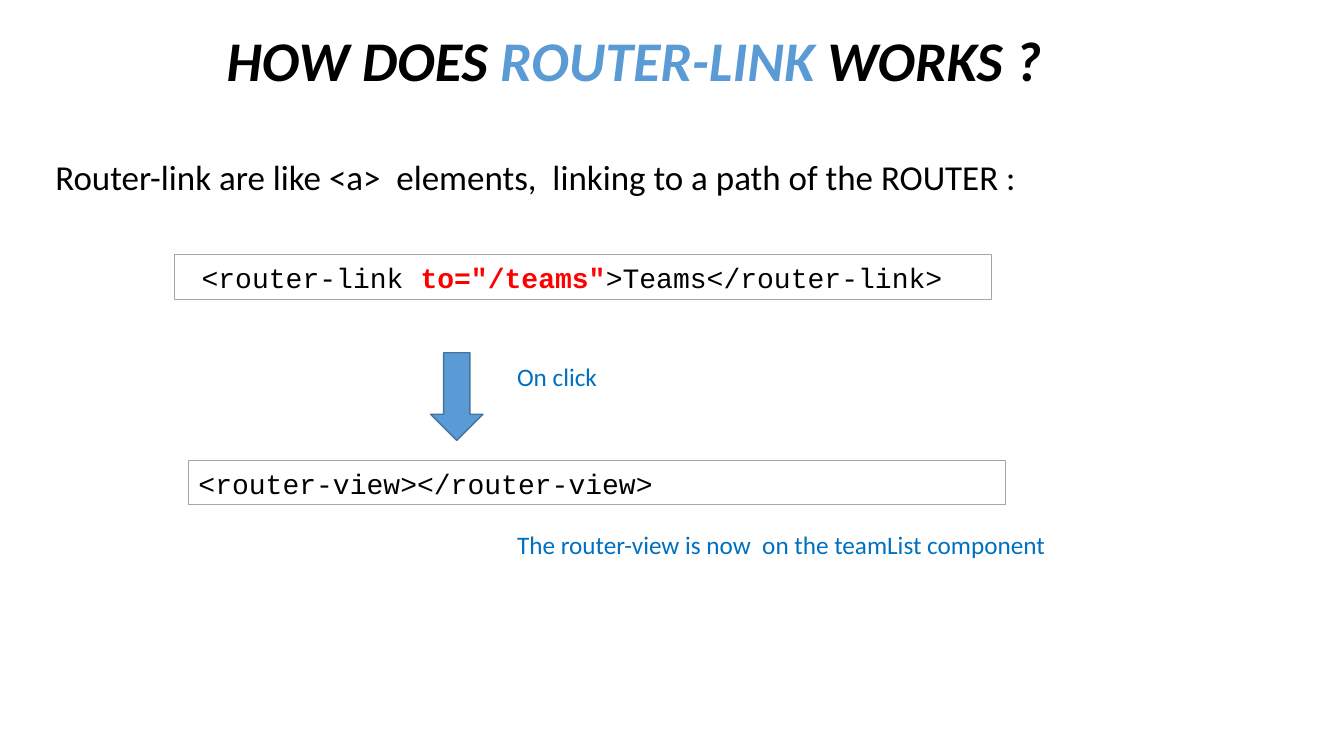
from pptx import Presentation
from pptx.dml.color import RGBColor
from pptx.enum.shapes import MSO_SHAPE as SHAPE
from pptx.enum.text import MSO_ANCHOR as ANCHOR, PP_ALIGN as ALIGN
from pptx.util import Inches, Pt

BLACK = RGBColor(0x00, 0x00, 0x00)
RED = RGBColor(0xFF, 0x00, 0x00)
BLUE = RGBColor(0x5B, 0x9B, 0xD5)
DARK_BLUE = RGBColor(0x43, 0x73, 0x9E)
NOTE_BLUE = RGBColor(0x00, 0x70, 0xC0)
GREY = RGBColor(0xA6, 0xA6, 0xA6)

CODE_W, CODE_H = 8.1, 0.44
NOTE_X, NOTE_H = 5.03, 0.4


def write(tf, runs, size, font="Calibri", color=BLACK):
    """Fill the first paragraph with (text, colour, bold) runs; None keeps the default."""
    p = tf.paragraphs[0]
    p.alignment = ALIGN.LEFT
    p.font.size, p.font.name = Pt(size), font
    p.font.color.rgb = color
    for text, run_color, bold in runs:
        r = p.add_run()
        r.text = text
        if run_color is not None:
            r.font.color.rgb = run_color
        if bold is not None:
            r.font.bold = bold
    return p


def add_text(s, box, runs, size, color=BLACK, wrap=False):
    tf = s.shapes.add_textbox(*map(Inches, box)).text_frame
    tf.word_wrap = wrap
    return write(tf, runs, size, color=color)


def add_title(s, box):
    runs = [("HOW DOES ", None, None), ("ROUTER-LINK", BLUE, None), (" WORKS ?", None, None)]
    p = add_text(s, box, runs, 40, wrap=True)
    p.font.bold = p.font.italic = True


def add_code(s, x, y, runs, indent=0.1):
    sp = s.shapes.add_shape(SHAPE.RECTANGLE, *map(Inches, (x, y, CODE_W, CODE_H)))
    sp.shadow.inherit = False
    sp.fill.background()
    sp.line.color.rgb, sp.line.width = GREY, Pt(0.75)
    tf = sp.text_frame
    tf.word_wrap = True
    tf.vertical_anchor = ANCHOR.MIDDLE
    tf.margin_left = Inches(indent)
    write(tf, runs, 20, "Courier New")


def add_down_arrow(s, box):
    sp = s.shapes.add_shape(SHAPE.DOWN_ARROW, *map(Inches, box))
    sp.shadow.inherit = False
    sp.fill.solid()
    sp.fill.fore_color.rgb = BLUE
    sp.line.color.rgb, sp.line.width = DARK_BLUE, Pt(1)


def add_note(s, y, width, text):
    add_text(s, (NOTE_X, y, width, NOTE_H), [(text, None, None)], 18, NOTE_BLUE)


def main():
    prs = Presentation()
    prs.slide_width, prs.slide_height = Inches(13.33), Inches(7.5)
    s = prs.slides.add_slide(prs.slide_layouts[6])

    add_title(s, (2.15, 0.2, 8.52, 0.77))
    intro = "Router-link are like <a>  elements,  linking to a path of the ROUTER :"
    add_text(s, (0.45, 1.49, 9.85, 0.52), [(intro, None, None)], 25)
    link = [("<router-link ", None, None), ('to="/teams"', RED, True),
            (">Teams</router-link>", None, None)]
    add_code(s, 1.73, 2.53, link, indent=0.27)
    add_code(s, 1.87, 4.57, [("<router-view></router-view>", None, None)])
    add_down_arrow(s, (4.27, 3.5, 0.52, 0.87))
    add_note(s, 3.54, 1, "On click")
    add_note(s, 5.2, 5.51, "The router-view is now  on the teamList component")

    prs.save("out.pptx")


if __name__ == "__main__":
    main()
